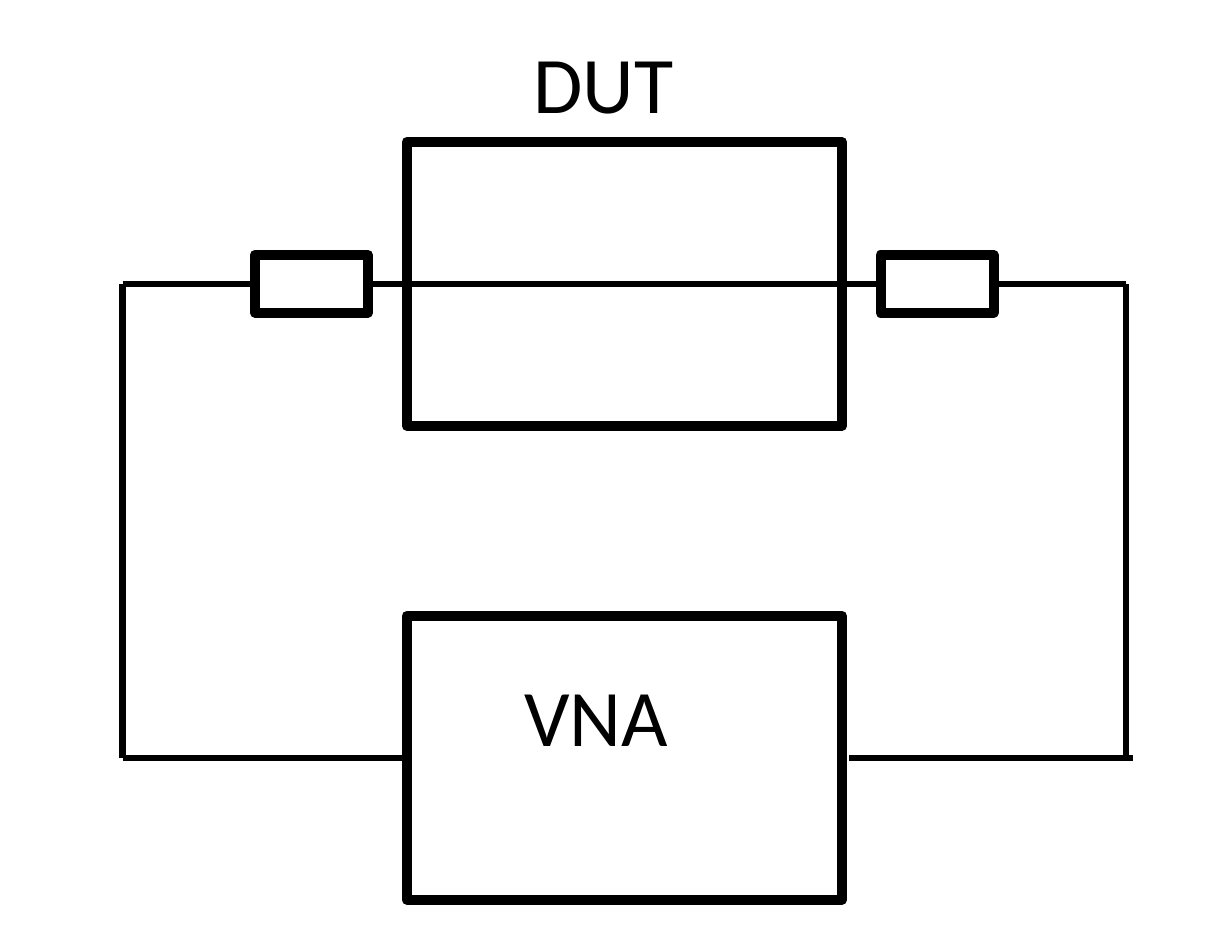
from dataclasses import dataclass
from lxml.etree import SubElement as Sub
from pptx import Presentation
from pptx.dml.color import RGBColor as Rgb
from pptx.enum.shapes import MSO_CONNECTOR as Conn, MSO_SHAPE as Kind
from pptx.oxml.ns import qn
from pptx.util import Inches, Pt


@dataclass(frozen=True)
class Theme:
    ink: Rgb = Rgb(0, 0, 0)
    face: str = "Calibri"
    size: int = 24
    box: int = 3
    wire: int = 2


class Board:
    def __init__(self, slide, theme):
        self.slide, self.theme = slide, theme

    def ink(self, line, width):
        line.color.rgb = self.theme.ink
        line.width = Pt(width)

    def box(self, left, top, width, height):
        rect = self.slide.shapes.add_shape(
            Kind.RECTANGLE, *map(Inches, (left, top, width, height)))
        rect.shadow.inherit = False
        rect.fill.background()
        self.ink(rect.line, self.theme.box)
        Sub(rect.element.spPr.find(qn("a:ln")), qn("a:round"))

    def wire(self, start, end):
        line = self.slide.shapes.add_connector(
            Conn.STRAIGHT, *map(Inches, start + end))
        self.ink(line.line, self.theme.wire)
        Sub(line.element.spPr, qn("a:effectLst"))

    def label(self, text, left, top):
        note = self.slide.shapes.add_textbox(
            *map(Inches, (left, top, 0.94, 0.5)))
        note.text_frame.word_wrap = True
        para = note.text_frame.paragraphs[0]
        para.text = text
        style = {"name": self.theme.face, "size": Pt(self.theme.size)}
        for key, value in style.items():
            setattr(para.font, key, value)
        para.font.color.rgb = self.theme.ink


def main():
    deck = Presentation()
    deck.slide_width, deck.slide_height = Inches(5.12), Inches(3.94)
    board = Board(deck.slides.add_slide(deck.slide_layouts[6]), Theme())

    west, east, high, low = 0.51, 4.68, 1.18, 3.15
    port, wide = (1.06, 3.66), 0.47

    for mid in (high, low):
        board.box(1.69, mid - 0.59, 1.81, 1.18)
    board.label("VNA", 2.08, 2.72)
    board.label("DUT", 2.12, 0.09)
    for left in port:
        board.box(left, high - 0.12, wide, 0.24)

    for start, end in (
        ((port[0] + wide, high), (port[1], high)),
        ((port[1] + wide, high), (east, high)),
        ((east, high), (east, low)),
        ((west, high), (port[0], high)),
        ((west, high), (west, low)),
        ((west, low), (1.69, low)),
        ((3.53, low), (4.71, low)),
    ):
        board.wire(start, end)
    deck.save("out.pptx")


if __name__ == "__main__":
    main()
